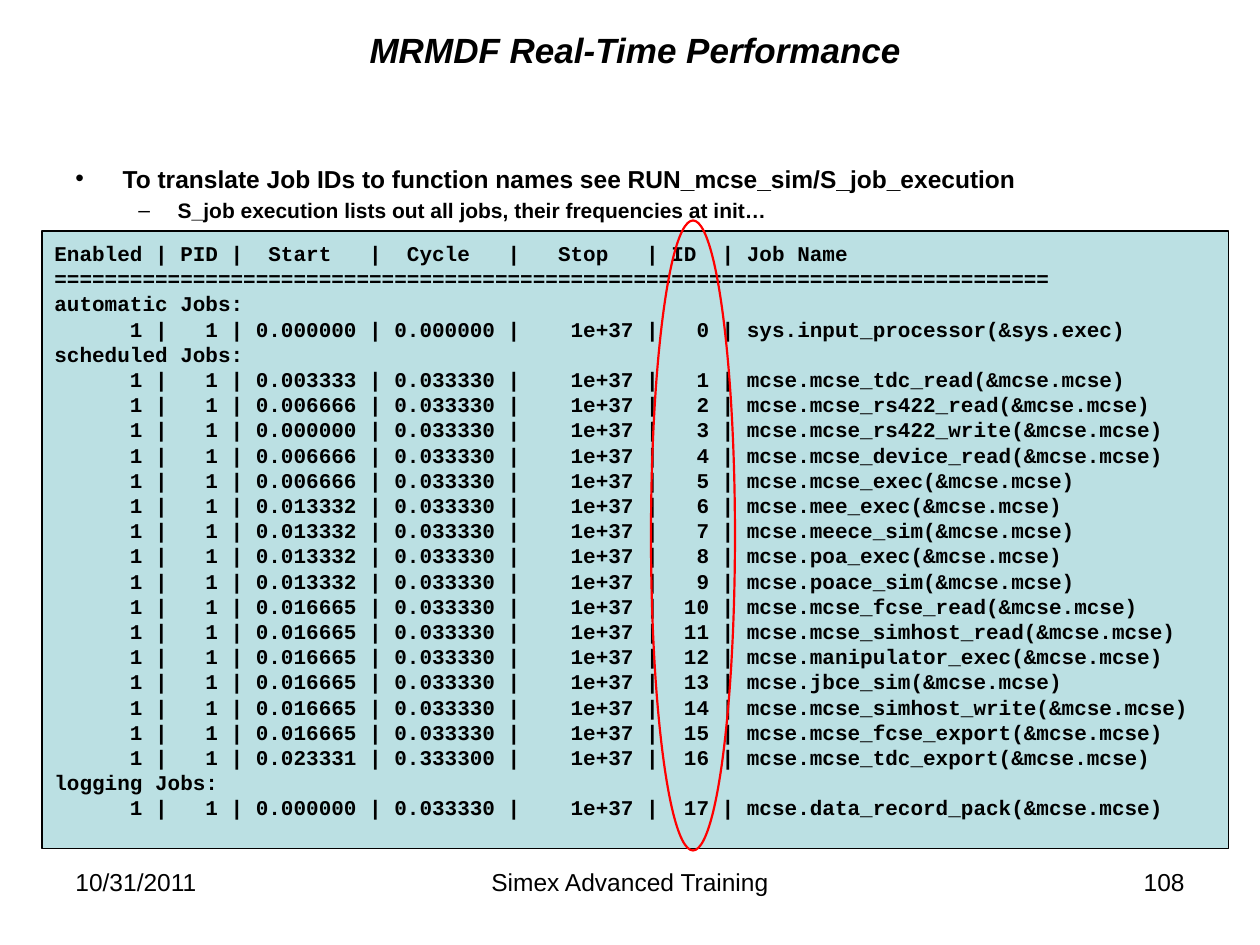
from lxml import etree
from pptx import Presentation
from pptx.dml.color import RGBColor
from pptx.enum import shapes, text
from pptx.oxml import ns
from pptx.util import Pt

BLACK = RGBColor(0x00, 0x00, 0x00)
RED = RGBColor(0xFF, 0x00, 0x00)
PALE_TEAL = RGBColor(0xBB, 0xE0, 0xE3)

TITLE = "MRMDF Real-Time Performance"
# text, size, bullet, left indent, hanging indent
BULLETS = [
    ("To translate Job IDs to function names see RUN_mcse_sim/S_job_execution", 14, "•", 27, 27),
    ("S_job execution lists out all jobs, their frequencies at init…", 12, "–", 58.5, 22.5),
]
HEADER = "Enabled | PID |  Start   |  Cycle   |   Stop   | ID  | Job Name"
RULE = "=" * 79
# group -> (start, cycle, job); IDs count up through all groups
JOB_GROUPS = {
    "automatic": [(0, 0, "sys.input_processor(&sys.exec)")],
    "scheduled": [
        (0.003333, 0.03333, "mcse.mcse_tdc_read(&mcse.mcse)"),
        (0.006666, 0.03333, "mcse.mcse_rs422_read(&mcse.mcse)"),
        (0, 0.03333, "mcse.mcse_rs422_write(&mcse.mcse)"),
        (0.006666, 0.03333, "mcse.mcse_device_read(&mcse.mcse)"),
        (0.006666, 0.03333, "mcse.mcse_exec(&mcse.mcse)"),
        (0.013332, 0.03333, "mcse.mee_exec(&mcse.mcse)"),
        (0.013332, 0.03333, "mcse.meece_sim(&mcse.mcse)"),
        (0.013332, 0.03333, "mcse.poa_exec(&mcse.mcse)"),
        (0.013332, 0.03333, "mcse.poace_sim(&mcse.mcse)"),
        (0.016665, 0.03333, "mcse.mcse_fcse_read(&mcse.mcse)"),
        (0.016665, 0.03333, "mcse.mcse_simhost_read(&mcse.mcse)"),
        (0.016665, 0.03333, "mcse.manipulator_exec(&mcse.mcse)"),
        (0.016665, 0.03333, "mcse.jbce_sim(&mcse.mcse)"),
        (0.016665, 0.03333, "mcse.mcse_simhost_write(&mcse.mcse)"),
        (0.016665, 0.03333, "mcse.mcse_fcse_export(&mcse.mcse)"),
        (0.023331, 0.3333, "mcse.mcse_tdc_export(&mcse.mcse)"),
    ],
    "logging": [(0, 0.03333, "mcse.data_record_pack(&mcse.mcse)")],
}
# text, left, width, alignment
FOOTERS = [
    ("10/31/2011", 36, 168, text.PP_ALIGN.LEFT),
    ("Simex Advanced Training", 246, 228, text.PP_ALIGN.CENTER),
    ("108", 516, 168, text.PP_ALIGN.RIGHT),
]


def box(*lengths):
    return [Pt(length) for length in lengths]


def write(paragraph, wording, size, font="Arial", align=text.PP_ALIGN.LEFT, **font_format):
    paragraph.alignment = align
    run = paragraph.add_run()
    run.text = wording
    run.font.color.rgb = BLACK
    for key, value in {"name": font, "size": Pt(size), **font_format}.items():
        setattr(run.font, key, value)


def paragraphs(frame, count):
    """Return the first paragraph of the frame and as many new ones as needed."""
    return [frame.paragraphs[0]] + [frame.add_paragraph() for _ in range(count - 1)]


def add_bullet(paragraph, symbol, left, hanging):
    properties = paragraph._p.get_or_add_pPr()
    properties.set("marL", str(Pt(left)))
    properties.set("indent", str(-Pt(hanging)))
    etree.SubElement(properties, ns.qn("a:buFont")).set("typeface", "Arial")
    etree.SubElement(properties, ns.qn("a:buChar")).set("char", symbol)


def listing_lines():
    lines = [HEADER, RULE]
    job_id = 0
    for group, jobs in JOB_GROUPS.items():
        lines.append(f"{group} Jobs:")
        for start, cycle, job in jobs:
            lines.append(f"{1:>7} | {1:>3} | {start:.6f} | {cycle:.6f} | "
                         f"{'1e+37':>8} | {job_id:>3} | {job}")
            job_id += 1
    return lines


def add_outlined(slide, preset, place, colour, width):
    shape = slide.shapes.add_shape(preset, *box(*place))
    shape.shadow.inherit = False
    shape.line.color.rgb = colour
    shape.line.width = Pt(width)
    return shape


def main():
    deck = Presentation()
    deck.slide_width, deck.slide_height = box(720, 540)
    slide = deck.slides.add_slide(deck.slide_layouts[5])

    title = slide.shapes.title
    title.left, title.top, title.width, title.height = box(72, 12, 582, 32.4)
    title.text_frame.vertical_anchor = text.MSO_ANCHOR.MIDDLE
    write(title.text_frame.paragraphs[0], TITLE, 20,
          align=text.PP_ALIGN.CENTER, bold=True, italic=True)

    for wording, left, width, align in FOOTERS:
        footer = slide.shapes.add_textbox(*box(left, 492, width, 37.5)).text_frame
        footer.word_wrap = True
        write(footer.paragraphs[0], wording, 14, align=align)

    body = slide.shapes.add_textbox(*box(36, 90, 648, 392.4)).text_frame
    body.word_wrap = True
    for paragraph, (wording, size, symbol, left, hanging) in zip(
            paragraphs(body, len(BULLETS)), BULLETS):
        write(paragraph, wording, size, bold=True)
        paragraph.space_before = Pt(size * 0.2)
        add_bullet(paragraph, symbol, left, hanging)

    panel = add_outlined(slide, shapes.MSO_SHAPE.RECTANGLE, (24, 132, 678, 352.8), BLACK, 0.75)
    panel.fill.solid()
    panel.fill.fore_color.rgb = PALE_TEAL
    listing = panel.text_frame
    listing.word_wrap = True
    listing.vertical_anchor = text.MSO_ANCHOR.TOP
    listing.margin_top = Pt(5.4)
    lines = listing_lines()
    for paragraph, line in zip(paragraphs(listing, len(lines)), lines):
        write(paragraph, line, 12, font="Courier New", bold=True)
        paragraph.line_spacing = Pt(14.4)

    id_marker = add_outlined(slide, shapes.MSO_SHAPE.OVAL, (372, 126, 48, 360), RED, 1.25)
    id_marker.fill.background()

    deck.save("out.pptx")


if __name__ == "__main__":
    main()
